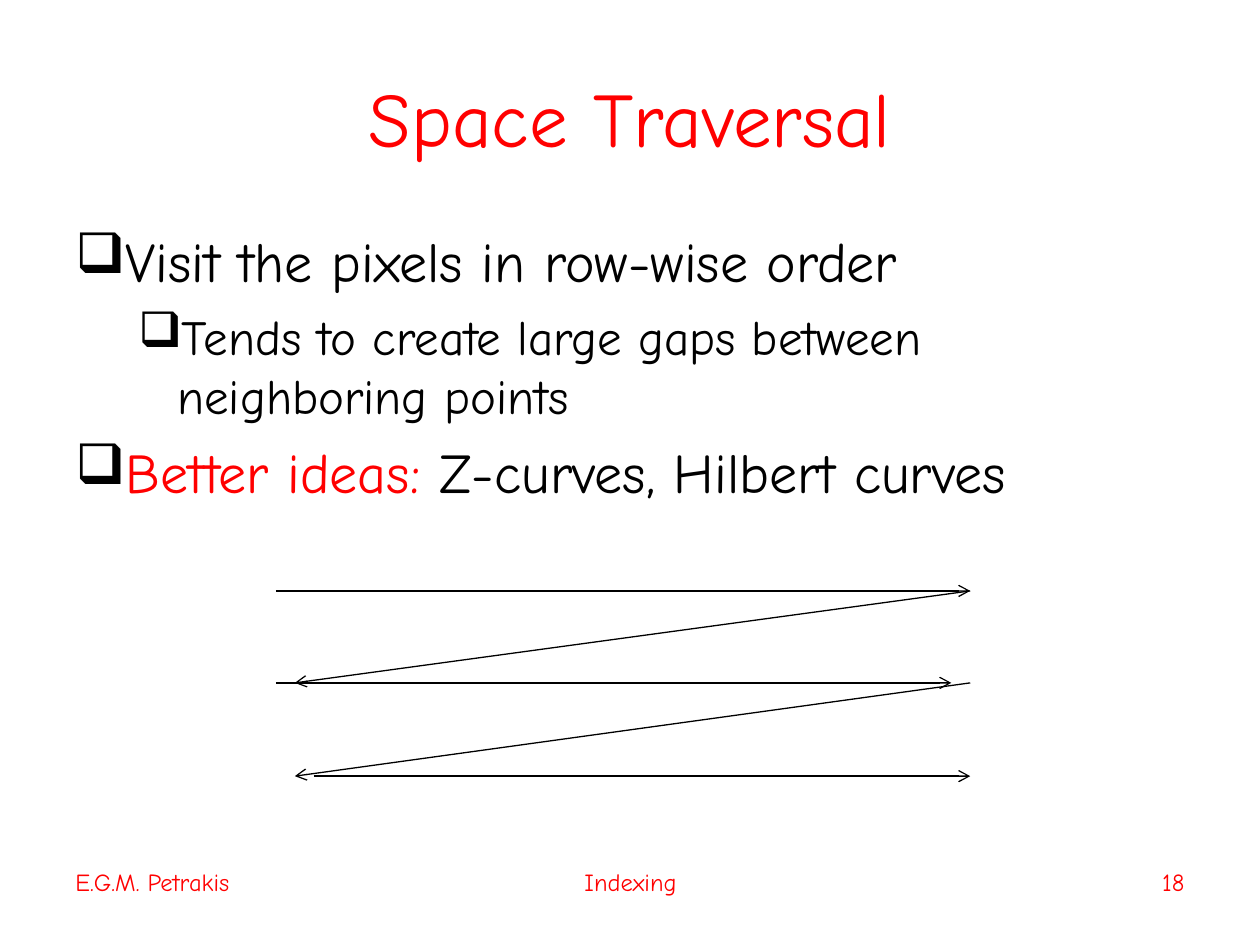
from lxml.etree import SubElement
from pptx import Presentation
from pptx.dml.color import RGBColor
from pptx.enum.shapes import MSO_CONNECTOR as Link
from pptx.enum.text import MSO_ANCHOR as Anchor, PP_ALIGN as Align
from pptx.oxml.ns import qn
from pptx.util import Pt

SCALE = 9144
HUES = {"red": "FF0000", "black": "000000"}


def px(num):
    return num * SCALE


def add_run(para, text, size=32, hue="black", face="Comic Neue"):
    run = para.add_run()
    run.text = text
    run.font.size = Pt(size)
    run.font.name = face
    run.font.color.rgb = RGBColor.from_string(HUES[hue])


class Board:
    def __init__(self, deck):
        self.slide = deck.slides.add_slide(deck.slide_layouts[6])

    def frame(self, left, top, width, height, anchor=Anchor.TOP):
        box = self.slide.shapes.add_textbox(*map(px, (left, top, width, height)))
        frame = box.text_frame
        frame.word_wrap = True
        frame.vertical_anchor = anchor
        return frame

    def label(self, text, area, align, anchor=Anchor.TOP, size=14):
        para = self.frame(*area, anchor).paragraphs[0]
        para.alignment = align
        add_run(para, text, size=size, hue="red")

    def bullets(self, items, area):
        frame = self.frame(*area)
        for num, (level, size, parts) in enumerate(items):
            para = frame.paragraphs[0] if num == 0 else frame.add_paragraph()
            para.level = level
            if num:
                para.space_before = Pt(size / 4)
            margin, hang = ((38, 38), (81, 31))[level]
            props = para._p.get_or_add_pPr()
            props.set("marL", str(px(margin)))
            props.set("indent", str(px(-hang)))
            tint = SubElement(props, qn("a:buClr"))
            SubElement(tint, qn("a:srgbClr"), val=HUES["black"])
            SubElement(props, qn("a:buChar"), char="❑")
            for text, hue in parts:
                add_run(para, text, size=size, hue=hue)

    def arrow(self, start, end):
        line = self.slide.shapes.add_connector(
            Link.STRAIGHT, *map(px, start + end))
        line.line.color.rgb = RGBColor.from_string(HUES["black"])
        line.line.width = Pt(0.75)
        SubElement(line.line._get_or_add_ln(), qn("a:tailEnd"), type="arrow")
        SubElement(line._element.spPr, qn("a:effectLst"))


def main():
    deck = Presentation()
    deck.slide_width, deck.slide_height = px(1000), px(750)
    board = Board(deck)
    board.label("Space Traversal", (50, 30, 900, 125), Align.CENTER,
                anchor=Anchor.MIDDLE, size=44)
    board.bullets([
        (0, 32, [("Visit the pixels in row-wise order", "black")]),
        (1, 28, [("Tends to create large gaps between neighboring points",
                  "black")]),
        (0, 32, [("Better ideas:", "red"),
                 (" Z-curves, Hilbert curves", "black")]),
    ], (50, 175, 900, 239))

    for text, left, width, align in (
            ("E.G.M. Petrakis", 50, 233, Align.LEFT),
            ("Indexing", 342, 317, Align.CENTER),
            ("18", 717, 233, Align.RIGHT)):
        board.label(text, (left, 683, width, 52), align)

    rows = (469, 542, 616)
    spans = ((219, 770), (219, 755), (249, 770))
    for num, (row, (left, right)) in enumerate(zip(rows, spans)):
        board.arrow((left, row), (right, row))
        if num:
            board.arrow((770, rows[num - 1]), (234, row))
    deck.save("out.pptx")


if __name__ == "__main__":
    main()
